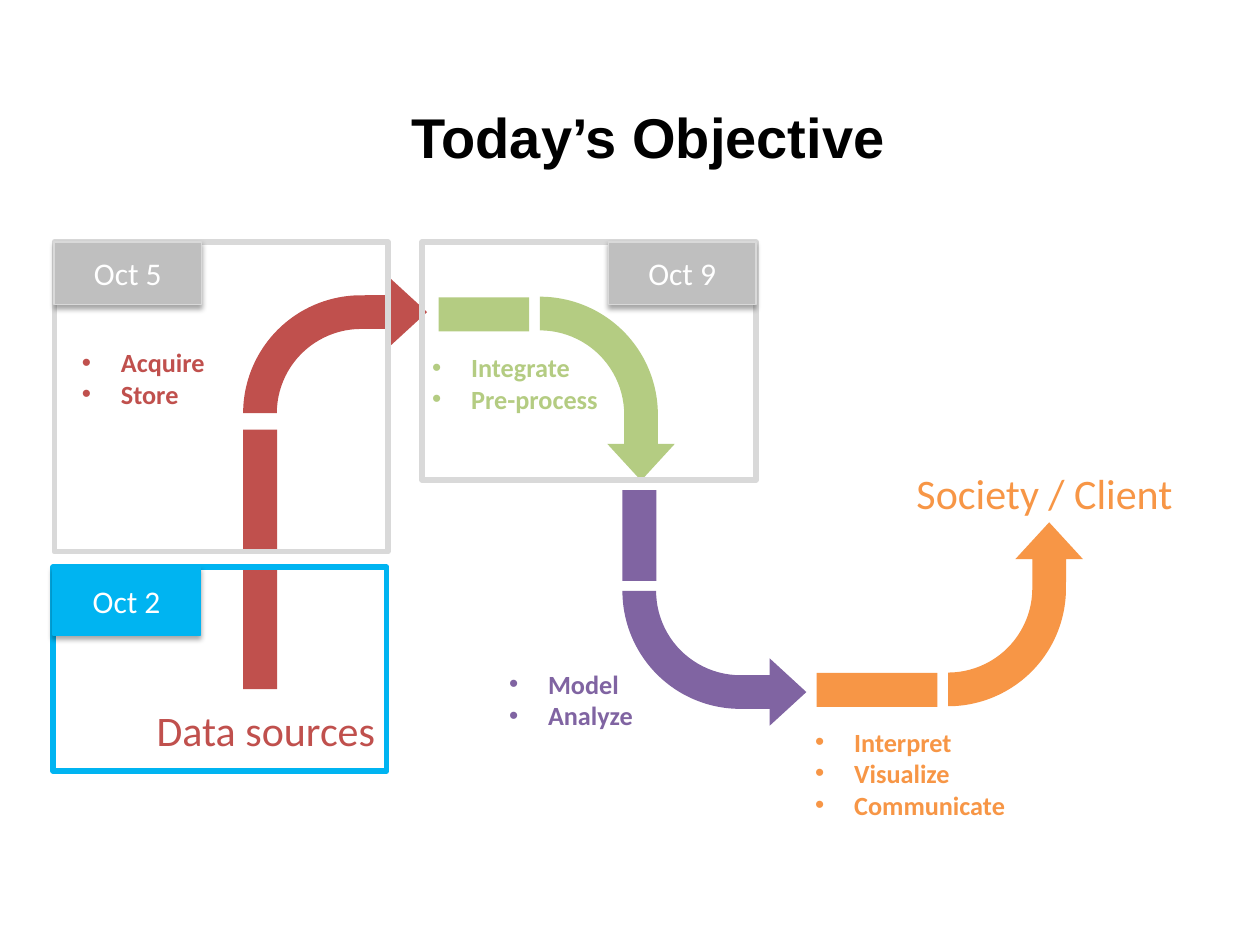
from lxml import etree
from pptx import Presentation
from pptx import util as u
from pptx.dml.color import RGBColor
from pptx.enum import shapes, text
from pptx.oxml import ns

COLORS = {
    "acquire": "C0504D", "integrate": "B4CC82", "model": "8064A2", "interpret": "F79646",
    "today": "00B4F1", "frame": "D9D9D9", "tag": "BFBFBF", "white": "FFFFFF", "black": "000000",
}
BAR = 0.27
ARROW = (1.46, 1.07)
FRAME_WIDTH = 2.65
TAG_WIDTH = 1.17


def rgb(name):
    return RGBColor.from_string(COLORS[name])


def write(frame, content, color, size, font="Calibri", bold=False, align=None,
          anchor=text.MSO_ANCHOR.TOP, margins=(0.07, 0.04, 0.07, 0.04), bullets=False):
    frame.word_wrap = True
    frame.auto_size = text.MSO_AUTO_SIZE.NONE
    frame.vertical_anchor = anchor
    (frame.margin_left, frame.margin_top,
     frame.margin_right, frame.margin_bottom) = map(u.Inches, margins)
    for index, line in enumerate(content.split("\n")):
        paragraph = frame.add_paragraph() if index else frame.paragraphs[0]
        if align is not None:
            paragraph.alignment = align
        if bullets:
            properties = paragraph._p.get_or_add_pPr()
            properties.set("marL", str(u.Inches(0.31)))
            properties.set("indent", str(-u.Inches(0.31)))
            etree.SubElement(properties, ns.qn("a:buFont"), typeface="Arial")
            etree.SubElement(properties, ns.qn("a:buChar"), char="•")
        run = paragraph.add_run()
        run.text = line
        run.font.name = font
        run.font.size = u.Pt(size)
        run.font.bold = bold
        run.font.color.rgb = rgb(color)


class ObjectiveSlide:
    def __init__(self, deck):
        self.slide = deck.slides.add_slide(deck.slide_layouts[5])

    def title(self, content):
        heading = self.slide.shapes.title
        heading.left, heading.top = u.Inches(0), u.Inches(0.4)
        heading.width, heading.height = u.Inches(10), u.Inches(1.36)
        write(heading.text_frame, content, "black", 32, font="Arial", bold=True,
              align=text.PP_ALIGN.CENTER, anchor=text.MSO_ANCHOR.MIDDLE,
              margins=(0.39, 0.05, 0.1, 0.05))

    def shape(self, kind, box, fill=None, line=None, weight=0.75, parent=None):
        part = (parent or self.slide).shapes.add_shape(kind, *map(u.Inches, box))
        part.shadow.inherit = False
        if fill:
            part.fill.solid()
            part.fill.fore_color.rgb = rgb(fill)
        else:
            part.fill.background()
        if line:
            part.line.color.rgb = rgb(line)
            part.line.width = u.Pt(weight)
        else:
            part.line.fill.background()
        return part

    def bar(self, left, top, length, color, turned=False):
        if turned:
            left, top = left + (length - BAR) / 2, top - (length - BAR) / 2
        segment = self.shape(shapes.MSO_SHAPE.RECTANGLE, (left, top, BAR, length), color)
        segment.rotation = 90 if turned else 0

    def arrow(self, left, top, color, rotation=0, flipped=False):
        bend = self.shape(shapes.MSO_SHAPE.BENT_ARROW, (left, top, *ARROW), color)
        for index, value in enumerate((0.25, 0.25, 0.272, 0.875)):
            bend.adjustments[index] = value
        bend.rotation = rotation
        if flipped:
            bend._element.spPr.find(ns.qn("a:xfrm")).set("flipH", "1")

    def label(self, content, box, color, **style):
        caption = self.slide.shapes.add_textbox(*map(u.Inches, box))
        write(caption.text_frame, content, color, **style)

    def session(self, date, left, top, height, tag_height, frame, tag, tag_right=False):
        group = self.slide.shapes.add_group_shape()
        self.shape(shapes.MSO_SHAPE.RECTANGLE, (left, top, FRAME_WIDTH, height),
                   line=frame, weight=3, parent=group)
        tag_left = left + FRAME_WIDTH - TAG_WIDTH if tag_right else left
        badge = self.shape(shapes.MSO_SHAPE.RECTANGLE, (tag_left, top, TAG_WIDTH, tag_height),
                           tag, frame, parent=group)
        self.drop_shadow(badge)
        write(badge.text_frame, date, "white", 18, align=text.PP_ALIGN.CENTER,
              anchor=text.MSO_ANCHOR.MIDDLE, margins=(0.1, 0.05, 0.1, 0.05))

    def drop_shadow(self, part):
        effects = part._element.spPr.find(ns.qn("a:effectLst"))
        shadow = etree.SubElement(effects, ns.qn("a:outerShdw"), blurRad=str(u.Pt(3.1)),
                                  dist=str(u.Pt(1.8)), dir="5400000", rotWithShape="0")
        shade = etree.SubElement(shadow, ns.qn("a:srgbClr"), val=COLORS["black"])
        etree.SubElement(shade, ns.qn("a:alpha"), val="35000")


def main():
    deck = Presentation()
    deck.slide_width, deck.slide_height = u.Inches(10), u.Inches(7.5)
    objective = ObjectiveSlide(deck)
    objective.title("Today’s Objective")

    objective.arrow(1.93, 2.21, "acquire")
    for top in (3.41, 4.51):
        objective.bar(1.93, top, 0.96, "acquire")
    objective.bar(3.48, 2.36, 0.72, "integrate", turned=True)
    objective.arrow(4.09, 2.55, "integrate", rotation=90)
    objective.bar(4.94, 3.89, 0.72, "model")
    objective.arrow(4.94, 4.69, "model", rotation=180, flipped=True)
    objective.bar(6.48, 5.34, 0.96, "interpret", turned=True)
    objective.arrow(7.33, 4.34, "interpret", rotation=90, flipped=True)

    for endpoint, box, color in (
        ("Data sources", (1.05, 5.55, 2.12, 0.49), "acquire"),
        ("Society / Client", (7.1, 3.67, 2.38, 0.58), "interpret"),
    ):
        objective.label(endpoint, box, color, size=24, align=text.PP_ALIGN.CENTER)
    for steps, box, color in (
        ("Acquire\nStore", (0.58, 2.71, 1.35, 0.68), "acquire"),
        ("Integrate\nPre-process", (3.36, 2.75, 1.53, 0.68), "integrate"),
        ("Model\nAnalyze", (3.97, 5.26, 1.23, 0.58), "model"),
        ("Interpret\nVisualize\nCommunicate", (6.4, 5.72, 2.06, 0.59), "interpret"),
    ):
        objective.label(steps, box, color, size=15, bold=True, bullets=True)

    objective.session("Oct 2", 0.42, 4.5, 1.62, 0.54, "today", "today")
    objective.session("Oct 9", 3.35, 1.92, 1.89, 0.5, "frame", "tag", tag_right=True)
    objective.session("Oct 5", 0.43, 1.92, 2.46, 0.5, "frame", "tag")
    deck.save("out.pptx")


if __name__ == "__main__":
    main()
